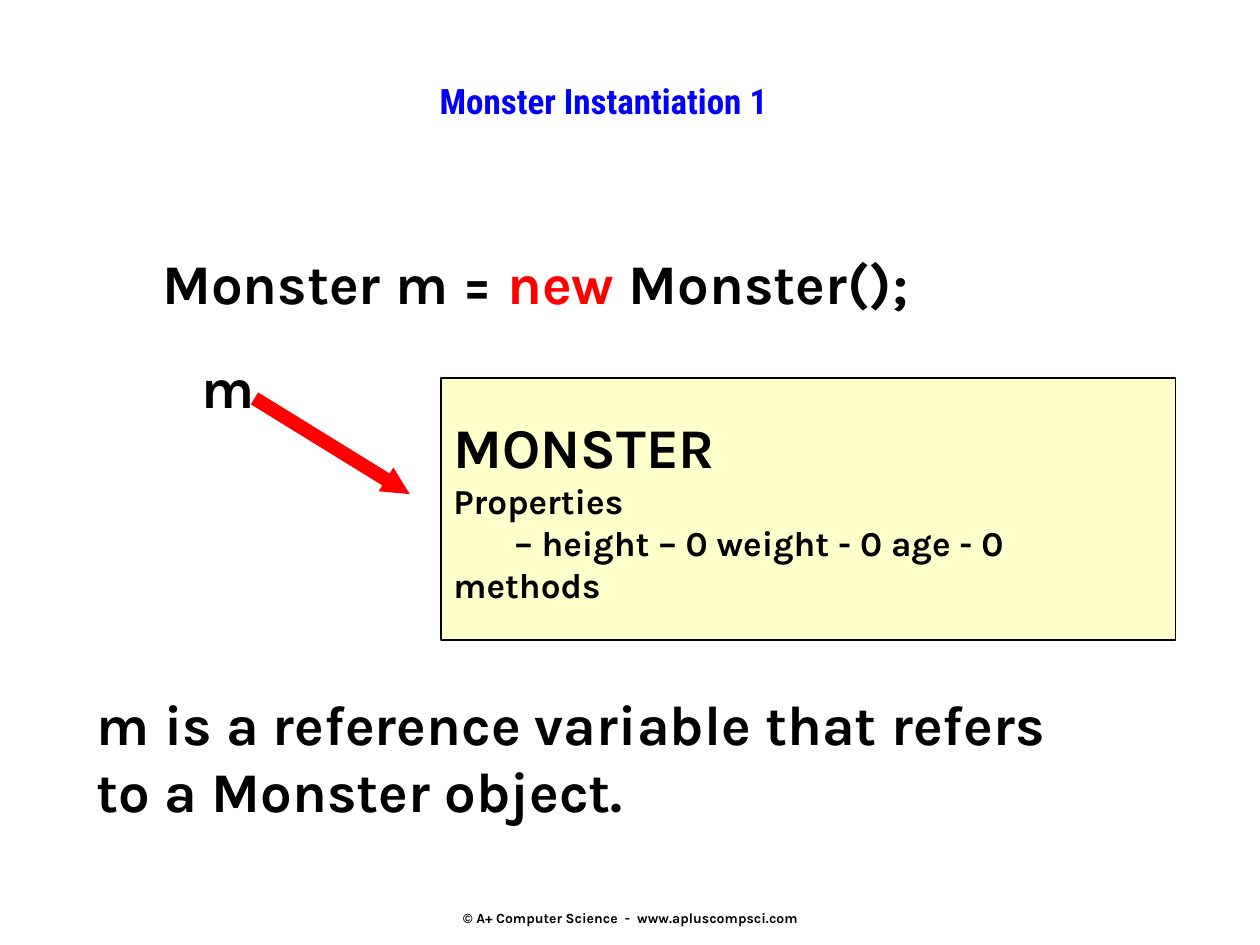
from lxml.etree import SubElement
from pptx import Presentation
from pptx.dml.color import RGBColor
from pptx.enum.shapes import MSO_CONNECTOR as Connector, MSO_SHAPE as Shape
from pptx.enum.text import MSO_ANCHOR as Anchor, PP_ALIGN as Align
from pptx.oxml.ns import qn
from pptx.util import Cm, Pt

# Content: each paragraph is a list of (text, colour name) runs
TITLE = [[("Monster Instantiation 1", "title")]]
STATEMENT = [[("Monster m = ", "text"), ("new", "accent"), (" Monster();", "text")]]
VARIABLE = [[("m", "text")]]
OBJECT_NAME = "MONSTER"
OBJECT_PARTS = ["Properties", "– height – 0 weight - 0 age - 0", "methods"]
EXPLANATION = [
    [("m is a reference variable that refers", "text")],
    [("to a Monster object.", "text")],
]
FOOTER = [[("© A+ Computer Science  -  www.apluscompsci.com", "text")]]

THEME = {
    "font": "Karla",
    "title_font": "Roboto Condensed",
    "text": RGBColor(0x00, 0x00, 0x00),
    "accent": RGBColor(0xFF, 0x00, 0x00),
    "title": RGBColor(0x00, 0x00, 0xFF),
    "object_fill": RGBColor(0xFF, 0xFF, 0xCC),
    "large": Pt(32),
    "medium": Pt(20),
    "small": Pt(8),
}


def write_text(shape, paragraphs, sizes=("large",), font="font",
               align=Align.LEFT, anchor=Anchor.TOP, indents=None):
    """Fill a shape; the last size given also serves all later paragraphs."""
    frame = shape.text_frame
    frame.word_wrap = True
    frame.vertical_anchor = anchor
    for index, runs in enumerate(paragraphs):
        paragraph = frame.paragraphs[0] if index == 0 else frame.add_paragraph()
        paragraph.alignment = align
        if indents and index in indents:
            paragraph._p.get_or_add_pPr().set("marL", str(indents[index]))
        for text, colour in runs:
            run = paragraph.add_run()
            run.text = text
            run.font.name = THEME[font]
            run.font.size = THEME[sizes[min(index, len(sizes) - 1)]]
            run.font.bold = True
            run.font.color.rgb = THEME[colour]


def add_text(slide, box, paragraphs, **text_format):
    shape = slide.shapes.add_textbox(*map(Cm, box))
    write_text(shape, paragraphs, **text_format)


def add_object(slide, box):
    shape = slide.shapes.add_shape(Shape.RECTANGLE, *map(Cm, box))
    shape.shadow.inherit = False
    shape.fill.solid()
    shape.fill.fore_color.rgb = THEME["object_fill"]
    shape.line.color.rgb = THEME["text"]
    shape.line.width = Pt(1)
    paragraphs = [[(text, "text")] for text in [OBJECT_NAME, *OBJECT_PARTS]]
    write_text(shape, paragraphs, sizes=("large", "medium"),
               anchor=Anchor.MIDDLE, indents={2: Cm(1.23)})


def add_arrow(slide, start, end):
    arrow = slide.shapes.add_connector(Connector.STRAIGHT, *map(Cm, start + end))
    arrow.line.color.rgb = THEME["accent"]
    arrow.line.width = Pt(8)
    SubElement(arrow.line._get_or_add_ln(), qn("a:tailEnd"),
               type="triangle", w="sm", len="sm")
    SubElement(arrow._element.spPr, qn("a:effectLst"))


def main():
    presentation = Presentation()
    presentation.slide_width, presentation.slide_height = Cm(25.4), Cm(19.05)
    slide = presentation.slides.add_slide(presentation.slide_layouts[6])

    # Footer and statement
    add_text(slide, (8.69, 18.13, 8.05, 0.76), FOOTER, sizes=("small",),
             align=Align.CENTER, anchor=Anchor.MIDDLE)
    add_text(slide, (3.02, 4.88, 16.38, 1.63), STATEMENT)

    # Reference variable pointing at its object
    add_object(slide, (8.89, 7.62, 14.81, 5.28))
    add_text(slide, (3.81, 6.99, 1.6, 1.63), VARIABLE)
    add_arrow(slide, (5.13, 8.03), (8.26, 9.96))

    # Explanation and title
    add_text(slide, (1.7, 13.77, 20.78, 2.97), EXPLANATION)
    add_text(slide, (2.11, 1.47, 20.12, 1.91), TITLE, sizes=("medium",),
             font="title_font", align=Align.CENTER)

    presentation.save("out.pptx")


if __name__ == "__main__":
    main()
